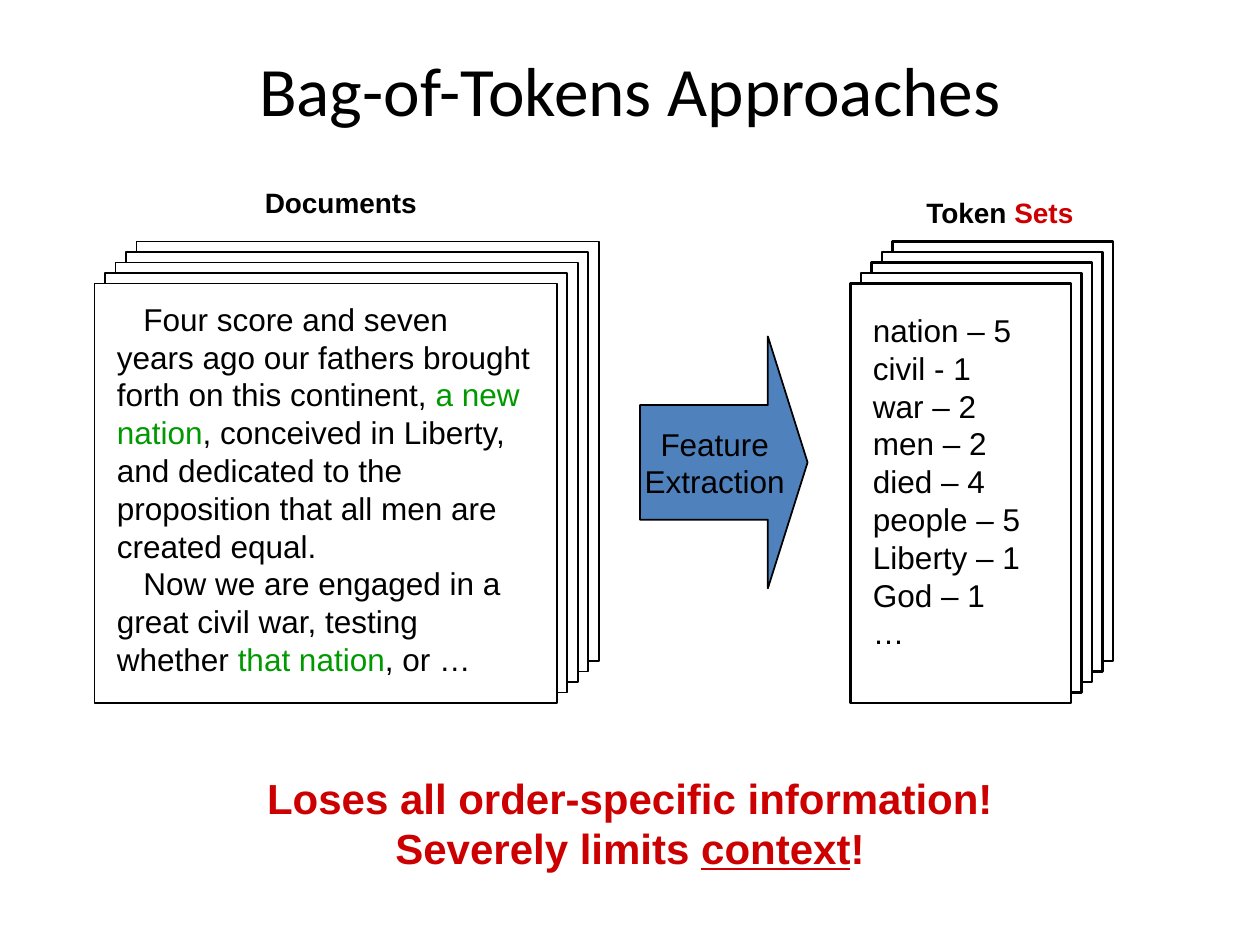
from pptx import Presentation
from pptx import util as u
from pptx.dml.color import RGBColor
from pptx.enum import shapes, text

BLACK = RGBColor(0x00, 0x00, 0x00)
WHITE = RGBColor(0xFF, 0xFF, 0xFF)
GREEN = RGBColor(0x00, 0x99, 0x00)
RED = RGBColor(0xCC, 0x00, 0x00)
BLUE = RGBColor(0x4F, 0x81, 0xBD)

BODY = {"name": "Arial", "size": u.Pt(18)}
HEADING = {"name": "Arial", "size": u.Pt(16), "bold": True}
WARNING = {"name": "Arial", "size": u.Pt(24), "bold": True}
CENTER = text.PP_ALIGN.CENTER


def write(frame, paragraphs, font, align=None, wrap=True, indent=0):
    """Each paragraph is a list of (words, colour, extra font values) runs."""
    frame.word_wrap = wrap
    for number, runs in enumerate(paragraphs):
        paragraph = frame.add_paragraph() if number else frame.paragraphs[0]
        paragraph.alignment = align
        if indent:
            paragraph._p.get_or_add_pPr().set("indent", str(u.Inches(indent)))
        for words, colour, *extra in runs:
            run = paragraph.add_run()
            run.text = words
            run.font.color.rgb = colour
            for values in (font, *extra):
                for key, value in values.items():
                    setattr(run.font, key, value)


def add_block(parent, kind, left, top, width, height, fill, line_width):
    block = parent.shapes.add_shape(
        kind, u.Inches(left), u.Inches(top), u.Inches(width), u.Inches(height))
    block.shadow.inherit = False
    block.fill.solid()
    block.fill.fore_color.rgb = fill
    block.line.color.rgb = BLACK
    block.line.width = u.Pt(line_width)
    return block


prs = Presentation()
prs.slide_width, prs.slide_height = u.Inches(10), u.Inches(7.5)
slide = prs.slides.add_slide(prs.slide_layouts[5])

# Title
title = slide.shapes.title
title.left, title.top = u.Inches(0.5), u.Inches(0.33)
title.width, title.height = u.Inches(9), u.Inches(0.75)
title.text_frame.vertical_anchor = text.MSO_ANCHOR.MIDDLE
write(title.text_frame, [[("Bag-of-Tokens Approaches", BLACK)]],
      {"name": "Calibri", "size": u.Pt(39.6)}, CENTER)

# Stacks of pages, the front page last
speech = [
    [("Four score and seven years ago our fathers brought forth on this continent, ", BLACK),
     ("a new nation", GREEN),
     (", conceived in Liberty, and dedicated to the proposition that all men are "
      "created equal.", BLACK)],
    [("Now we are engaged in a great civil war, testing whether ", BLACK),
     ("that nation", GREEN),
     (", or …", BLACK)],
]
tokens = ["nation – 5", "civil - 1", "war – 2", "men – 2", "died – 4",
          "people – 5", "Liberty – 1", "God – 1", "…"]
token_lines = [[(token, BLACK)] for token in tokens]

PAGES, STEP = 5, 1 / 12
stacks = [
    # front left, page width, line width, text box, paragraphs, indent
    (0.75, 3.67, 1, (0.83, 2.33, 3.5, 3.1), speech, 0.21),
    (6.75, 1.75, 1.25, (6.83, 2.42, 1.58, 2.8), token_lines, 0),
]
for front, width, line_width, box, paragraphs, indent in stacks:
    stack = slide.shapes.add_group_shape()
    for behind in reversed(range(PAGES)):
        add_block(stack, shapes.MSO_SHAPE.RECTANGLE, front + behind * STEP,
                  2.25 - behind * STEP, width, 3.33, WHITE, line_width)
    page_text = stack.shapes.add_textbox(*map(u.Inches, box))
    write(page_text.text_frame, paragraphs, BODY, indent=indent)

# Arrow from documents to token sets
arrow = add_block(slide, shapes.MSO_SHAPE.RIGHT_ARROW, 5.08, 2.67, 1.33, 2, BLUE, 1)
arrow.adjustments[0], arrow.adjustments[1] = 0.455, 0.237
arrow.text_frame.vertical_anchor = text.MSO_ANCHOR.MIDDLE
write(arrow.text_frame, [[("Feature", BLACK)], [("Extraction", BLACK)]],
      BODY, CENTER, wrap=False)

# Conclusion and stack headings
conclusion = [
    [("Loses all order-specific information!", RED)],
    [("Severely limits ", RED), ("context", RED, {"underline": True}), ("!", RED)],
]
captions = [
    ((0, 6.08, 10, 0.9), conclusion, WARNING, True),
    ((2, 1.42, 1.41, 0.37), [[("Documents", BLACK)]], HEADING, False),
    ((7.24, 1.5, 1.39, 0.37), [[("Token ", BLACK), ("Sets", RED)]], HEADING, False),
]
for box, paragraphs, font, wrap in captions:
    caption = slide.shapes.add_textbox(*map(u.Inches, box))
    write(caption.text_frame, paragraphs, font, CENTER, wrap)

prs.save("out.pptx")
